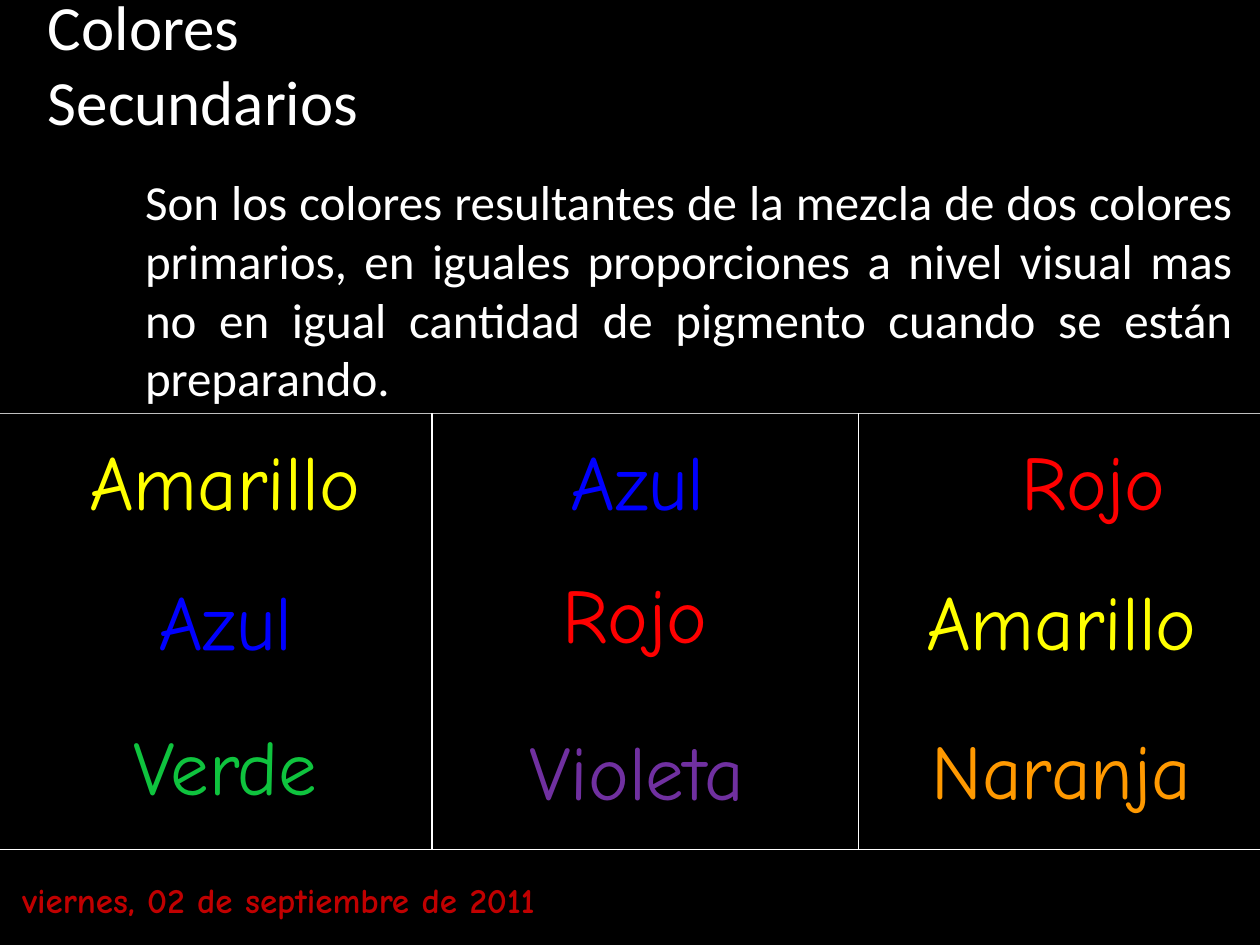
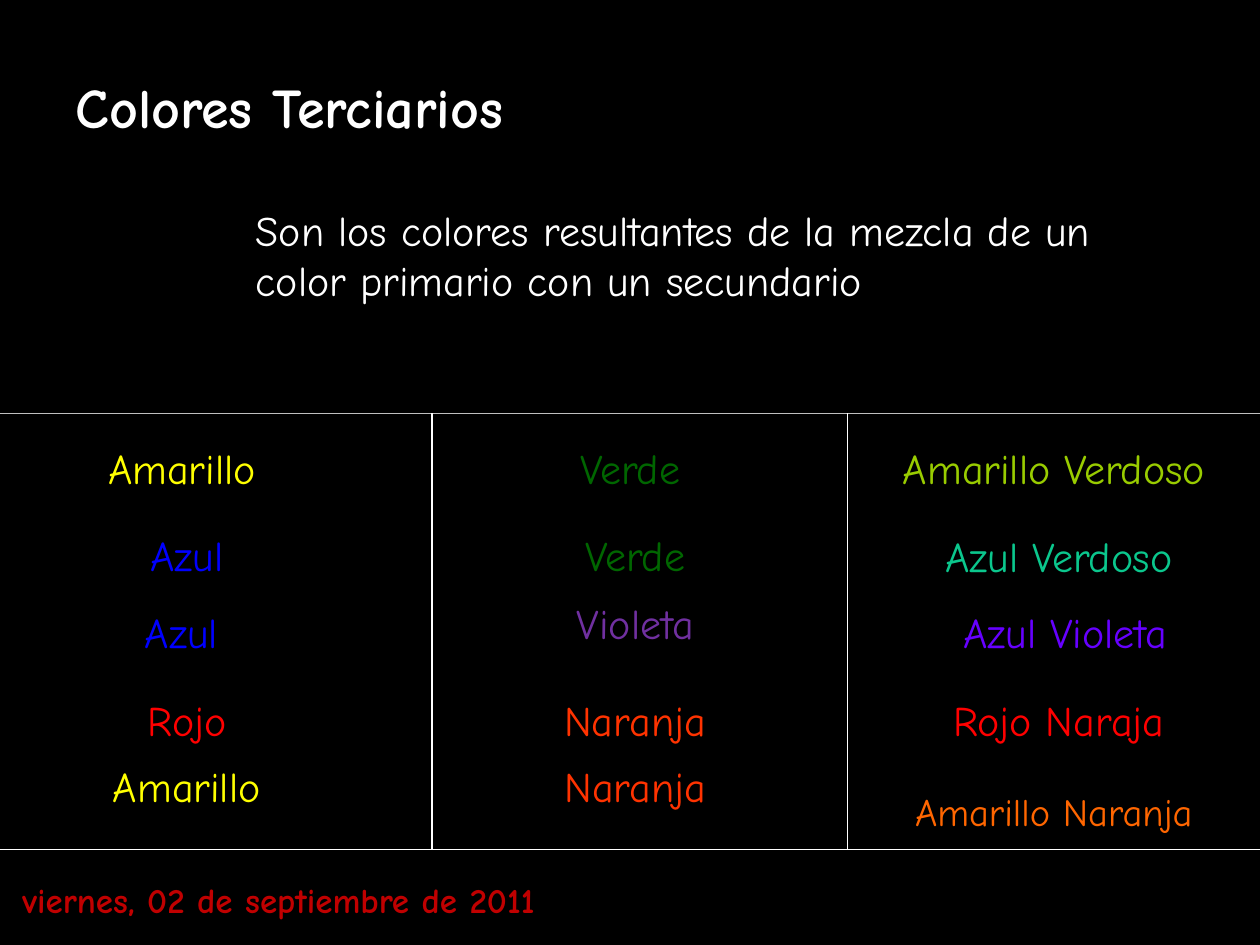
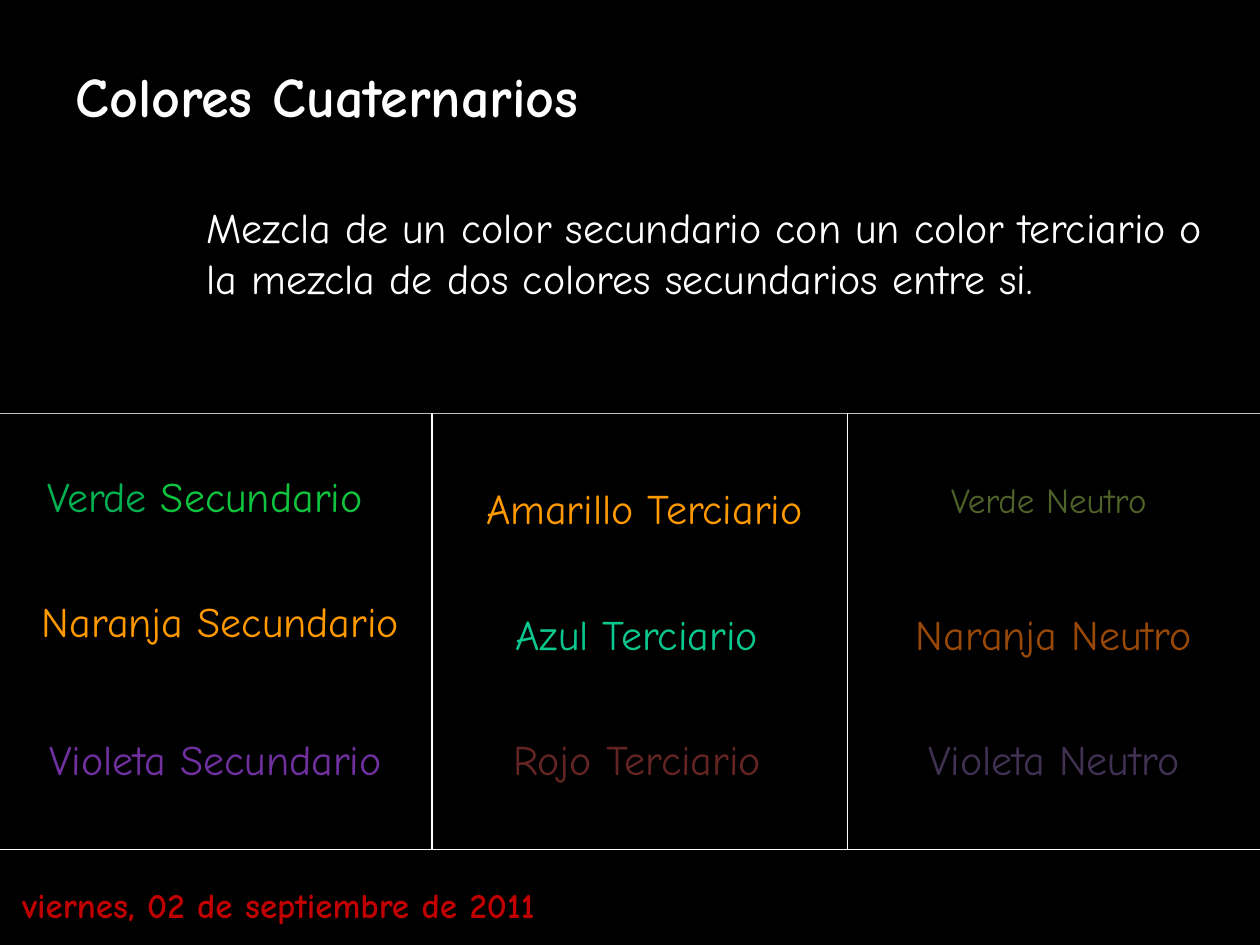
from dataclasses import dataclass

from lxml.etree import SubElement
from pptx import Presentation
from pptx.dml.color import RGBColor
from pptx.enum.shapes import MSO_CONNECTOR as Connector
from pptx.enum.text import MSO_ANCHOR as Anchor, MSO_AUTO_SIZE as AutoSize, PP_ALIGN as Align
from pptx.oxml.ns import qn
from pptx.util import Cm, Pt


@dataclass(frozen=True)
class Theme:
    plain_font: str = "Calibri"
    hand_font: str = "Comic Neue"
    background: str = "000000"
    text: str = "FFFFFF"
    top_rule: str = "BFBFBF"
    date: str = "C00000"
    yellow: str = "FFFF00"
    blue: str = "0000FF"
    red: str = "FF0000"
    green: str = "0FC33E"
    leaf_green: str = "00B050"
    dark_green: str = "006600"
    violet: str = "7030A0"
    orange: str = "FF9900"
    red_orange: str = "FF3300"
    yellow_orange: str = "FF6600"
    yellow_green: str = "99CC00"
    blue_green: str = "0BC78D"
    blue_violet: str = "6600FF"
    dark_red: str = "632523"
    neutral_green: str = "4F6228"
    neutral_orange: str = "984807"
    neutral_violet: str = "403152"
    plain_title_size: int = 36
    plain_body_size: int = 28
    title_size: int = 32
    body_size: int = 24
    date_size: int = 20
    big_label_size: int = 44
    label_size: int = 24
    tight_label_size: int = 22
    small_label_size: int = 20


THEME = Theme()
SLIDE_WIDTH, SLIDE_HEIGHT = 25.4, 19.05
GRID_TOP, GRID_BOTTOM = 8.33, 17.12
FIRST_DIVIDER = 8.71
SHORT, MEDIUM, LONG = 4.93, 6.32, 7.49
DATE_TEXT = "viernes, 02 de septiembre de 2011"


@dataclass(frozen=True)
class Label:
    text: str
    color: str
    left: float
    top: float
    width: float
    height: float = 1.37
    size: int = THEME.label_size
    ending: str = ""
    ending_color: str = THEME.text


def style_font(font, name, size, color, bold=False):
    font.name = name
    font.size = Pt(size)
    font.bold = bold
    font.color.rgb = RGBColor.from_string(color)


def place(shape, box):
    shape.left, shape.top, shape.width, shape.height = map(Cm, box)


def fill_placeholder(shape, text, box, anchor, align, font_style):
    place(shape, box)
    text_frame = shape.text_frame
    text_frame.text = text
    text_frame.word_wrap = True
    text_frame.auto_size = AutoSize.NONE
    text_frame.vertical_anchor = anchor
    paragraph = text_frame.paragraphs[0]
    paragraph.alignment = align
    paragraph.space_before = Pt(0)
    for run in paragraph.runs:
        style_font(run.font, *font_style)
    return paragraph


def add_title(slide, text, box, font_style):
    fill_placeholder(slide.shapes.title, text, box, Anchor.BOTTOM, Align.LEFT, font_style)


def add_body(slide, text, box, align, font_style):
    paragraph = fill_placeholder(slide.placeholders[1], text, box, Anchor.TOP, align, font_style)
    properties = paragraph._p.get_or_add_pPr()
    properties.set("marL", "0")
    properties.set("indent", "0")
    SubElement(properties, qn("a:buNone"))


def add_text(slide, text, box, anchor, align, font_style):
    text_frame = slide.shapes.add_textbox(*map(Cm, box)).text_frame
    text_frame.text = text
    text_frame.word_wrap = True
    text_frame.vertical_anchor = anchor
    paragraph = text_frame.paragraphs[0]
    paragraph.alignment = align
    style_font(paragraph.runs[0].font, *font_style)
    return paragraph


def add_label(slide, label):
    box = label.left, label.top, label.width, label.height
    font_style = THEME.hand_font, label.size, label.color
    paragraph = add_text(slide, label.text, box, Anchor.BOTTOM, Align.CENTER, font_style)
    if label.ending:
        run = paragraph.add_run()
        run.text = label.ending
        style_font(run.font, THEME.hand_font, label.size, label.ending_color)


def add_line(slide, start, end, color=THEME.text, width=0.75):
    connector = slide.shapes.add_connector(Connector.STRAIGHT, *map(Cm, start + end))
    connector.line.color.rgb = RGBColor.from_string(color)
    connector.line.width = Pt(width)
    SubElement(connector._element.spPr, qn("a:effectLst"))


def add_grid(slide, second_divider):
    add_line(slide, (0, GRID_TOP), (SLIDE_WIDTH, GRID_TOP), THEME.top_rule)
    add_line(slide, (0, GRID_BOTTOM), (SLIDE_WIDTH, GRID_BOTTOM), width=0.25)
    for divider in (FIRST_DIVIDER, second_divider):
        add_line(slide, (divider, GRID_TOP), (divider, GRID_BOTTOM))


def add_color_slide(presentation, title, title_box, body, body_box, labels,
                    date_size=(13.11, 0.79), second_divider=17.09, plain=False):
    slide = presentation.slides.add_slide(presentation.slide_layouts[1])
    if plain:
        title_style = THEME.plain_font, THEME.plain_title_size, THEME.text
        body_style = THEME.plain_font, THEME.plain_body_size, THEME.text
    else:
        title_style = THEME.hand_font, THEME.title_size, THEME.text, True
        body_style = THEME.hand_font, THEME.body_size, THEME.text
    add_title(slide, title, title_box, title_style)
    add_body(slide, body, body_box, Align.JUSTIFY if plain else Align.LEFT, body_style)
    add_text(slide, DATE_TEXT, (0.2, 17.73) + date_size, Anchor.MIDDLE, Align.LEFT,
             (THEME.hand_font, THEME.date_size, THEME.date, True))
    add_grid(slide, second_divider)
    for label in labels:
        add_label(slide, label)


def secondary_labels():
    entries = [
        ("Amarillo", THEME.yellow, 1.37, 9.35, MEDIUM),
        ("Azul", THEME.blue, 10.39, 9.35, SHORT),
        ("Rojo", THEME.red, 19.58, 9.35, SHORT),
        ("Azul", THEME.blue, 2.08, 12.17, SHORT),
        ("Rojo", THEME.red, 10.34, 12.04, SHORT),
        ("Amarillo", THEME.yellow, 18.24, 12.17, MEDIUM),
        ("Verde", THEME.green, 2.08, 15.11, SHORT),
        ("Violeta", THEME.violet, 9.68, 15.21, MEDIUM),
        ("Naranja", THEME.orange, 18.24, 15.19, MEDIUM),
    ]
    return [Label(*entry, size=THEME.big_label_size) for entry in entries]


def tertiary_labels():
    return [
        Label("Amarillo", THEME.yellow, 0.51, 8.69, MEDIUM),
        Label("Verde", THEME.dark_green, 10.24, 8.69, SHORT),
        Label("Amarillo Verdoso", THEME.yellow_green, 17.5, 8.69, LONG),
        Label("Azul", THEME.blue, 1.3, 10.44, SHORT),
        Label("Verde", THEME.dark_green, 9.65, 10.44, MEDIUM),
        Label("Azul Verdoso", THEME.blue_green, 17.6, 10.46, LONG),
        Label("Azul", THEME.blue, 1.19, 11.99, SHORT),
        Label("Violeta", THEME.violet, 9.65, 11.81, MEDIUM),
        Label("Azul Violeta", THEME.blue_violet, 17.73, 11.99, LONG),
        Label("Rojo", THEME.red, 0.61, 13.77, MEDIUM),
        Label("Naranja", THEME.red_orange, 10.34, 13.77, SHORT),
        Label("Rojo Naraja", THEME.red, 17.6, 13.77, LONG),
        Label("Amarillo", THEME.yellow, 1.3, 15.11, SHORT),
        Label("Naranja", THEME.red_orange, 9.65, 15.11, MEDIUM),
        Label("Amarillo Naranja", THEME.yellow_orange, 17.5, 15.57, LONG,
              size=THEME.tight_label_size),
    ]


def quaternary_labels():
    return [
        Label("Verde ", THEME.leaf_green, 0.28, 9.25, 7.7,
              ending="Secundario", ending_color=THEME.green),
        Label("Amarillo Terciario", THEME.orange, 8.89, 8.99, 8.2, 1.88),
        Label("Verde Neutro", THEME.neutral_green, 17.4, 9.25, LONG,
              size=THEME.small_label_size),
        Label("Naranja Secundario", THEME.orange, 0, 11.4, 8.89, 1.75),
        Label("Azul Terciario", THEME.blue_green, 9.43, 12.04, 6.81),
        Label("Naranja Neutro", THEME.neutral_orange, 17.5, 12.04, LONG),
        Label("Violeta Secundario", THEME.violet, 0.28, 14.55, 8.13),
        Label("Rojo Terciario", THEME.dark_red, 9.15, 14.55, 7.39),
        Label("Violeta Neutro", THEME.neutral_violet, 17.5, 14.55, LONG),
    ]


def main():
    presentation = Presentation()
    presentation.slide_width = Cm(SLIDE_WIDTH)
    presentation.slide_height = Cm(SLIDE_HEIGHT)
    background = presentation.slide_master.background.fill
    background.solid()
    background.fore_color.rgb = RGBColor.from_string(THEME.background)

    add_color_slide(
        presentation,
        "Colores Secundarios", (0.71, 0.76, 9.42, 2.16),
        "Son los colores resultantes de la mezcla de dos colores primarios, en iguales "
        "proporciones a nivel visual mas no en igual cantidad de pigmento cuando se "
        "están preparando.", (2.67, 3.33, 22.43, 4.14),
        secondary_labels(), date_size=(13.51, 0.79), second_divider=17.3, plain=True)
    add_color_slide(
        presentation,
        "Colores Terciarios", (1.27, 1.17, 11.23, 1.78),
        "Son los colores resultantes de la mezcla de un color primario con un secundario",
        (4.9, 3.99, 19.23, 2.74),
        tertiary_labels())
    add_color_slide(
        presentation,
        "Colores Cuaternarios", (1.27, 0.76, 13.23, 1.96),
        "Mezcla de un color secundario con un color terciario o la mezcla de dos colores "
        "secundarios entre si.", (3.91, 3.94, 20.8, 2.79),
        quaternary_labels(), date_size=(15.7, 0.99))

    presentation.save("out.pptx")


if __name__ == "__main__":
    main()
